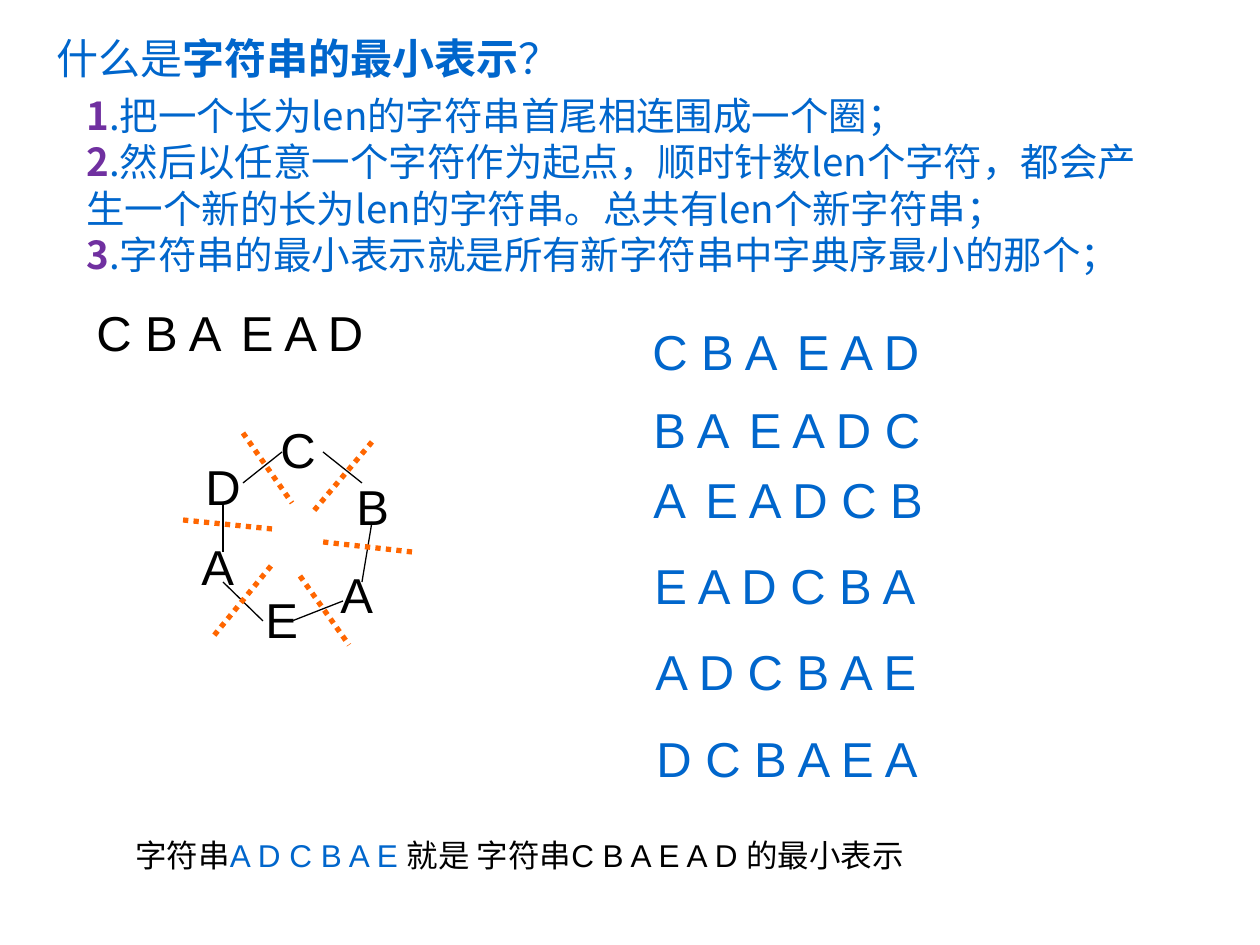
from pptx import Presentation
from pptx.dml.color import RGBColor
from pptx.enum.dml import MSO_LINE
from pptx.enum.shapes import MSO_CONNECTOR
from pptx.enum.text import MSO_ANCHOR, MSO_AUTO_SIZE, PP_ALIGN
from pptx.oxml.ns import qn
from pptx.util import Emu, Pt
from lxml.etree import SubElement

SCALE = 914400 // 126
BLACK, BLUE, PURPLE, ORANGE = "000000", "0066CC", "7030A0", "FF6600"
LATIN, CHINESE = "Arial", "Noto Sans CJK SC"
WORD = "CBAEAD"
STEPS = [
    "把一个长为len的字符串首尾相连围成一个圈；",
    "然后以任意一个字符作为起点，顺时针数len个字符，都会产生一个新的长为len的字符串。总共有len个新字符串；",
    "字符串的最小表示就是所有新字符串中字典序最小的那个；",
]
ROTATION_CORNERS = [(640, 294), (641, 372), (641, 442), (642, 549), (643, 635), (644, 722)]
LETTER_CORNERS = [(85, 0), (161, 57), (145, 145), (70, 170), (6, 117), (10, 37)]
RING_EDGES = [
    (140, 39, 179, 70), (189, 109, 179, 169), (160, 188, 109, 208),
    (80, 208, 40, 169), (40, 139, 40, 90), (60, 70, 99, 39),
]
RING_CUTS = [
    (60, 20, 109, 90), (189, 29, 129, 100), (229, 139, 140, 129),
    (117, 163, 166, 232), (88, 153, 29, 225), (89, 116, 0, 107),
]


def px(length):
    """Turn a length in pixels into EMU."""
    return Emu(length * SCALE)


def color(value):
    """Turn a hex string into a colour."""
    return RGBColor.from_string(value)


def add_text_box(slide, box):
    """Add an empty wrapping text box and return its text frame."""
    frame = slide.shapes.add_textbox(*map(px, box)).text_frame
    frame.word_wrap = True
    return frame


def format_paragraph(paragraph, size, name=None, value=None):
    """Set the font that all runs of a paragraph share."""
    paragraph.font.size = Pt(size)
    if name:
        paragraph.font.name = name
    if value:
        paragraph.font.color.rgb = color(value)


def add_run(paragraph, text):
    """Add a run of text and return its font."""
    run = paragraph.add_run()
    run.text = text
    return run.font


def add_line(slide, ends, left, top, value, width, dash=None):
    """Add a straight line whose ends are relative to a corner."""
    x1, y1, x2, y2 = ends
    connector = slide.shapes.add_connector(
        MSO_CONNECTOR.STRAIGHT, px(left + x1), px(top + y1), px(left + x2), px(top + y2))
    connector.line.color.rgb = color(value)
    connector.line.width = Pt(width)
    if dash:
        connector.line.dash_style = dash
    SubElement(connector._element.spPr, qn("a:effectLst"))


def add_title(slide, box):
    """Place the question in the title placeholder."""
    title = slide.shapes.title
    title.left, title.top, title.width, title.height = map(px, box)
    frame = title.text_frame
    frame.auto_size = MSO_AUTO_SIZE.NONE
    frame.vertical_anchor = MSO_ANCHOR.TOP
    paragraph = frame.paragraphs[0]
    paragraph.alignment = PP_ALIGN.LEFT
    format_paragraph(paragraph, 24, LATIN, BLUE)
    add_run(paragraph, "什么是")
    add_run(paragraph, "字符串的最小表示").bold = True
    add_run(paragraph, "？")


def add_steps(slide, box):
    """Write the numbered definition."""
    frame = add_text_box(slide, box)
    for number, step in enumerate(STEPS, 1):
        paragraph = frame.paragraphs[0] if number == 1 else frame.add_paragraph()
        format_paragraph(paragraph, 22, CHINESE)
        number_font = add_run(paragraph, str(number))
        number_font.bold = True
        number_font.color.rgb = color(PURPLE)
        add_run(paragraph, f".{step}").color.rgb = color(BLUE)


def add_rotation(slide, left, top, shift, value):
    """Write the word rotated by a shift, with a wide gap before the unmoved half."""
    letters = WORD[shift:] + WORD[:shift]
    split = max(3 - shift, 0)
    frame = add_text_box(slide, (left, top, 328, 97 if split else 72))
    paragraph = frame.paragraphs[0]
    format_paragraph(paragraph, 28, LATIN, value)
    if split:
        add_run(paragraph, " ".join(letters[:split]))
        add_run(paragraph, " ").size = Pt(40)
    add_run(paragraph, " ".join(letters[split:]))


def add_ring(slide, left, top):
    """Draw the word as a closed ring with its possible cuts."""
    for letter, (x, y) in zip(WORD, LETTER_CORNERS):
        paragraph = add_text_box(slide, (left + x, top + y, 71, 72)).paragraphs[0]
        format_paragraph(paragraph, 28, LATIN, BLACK)
        add_run(paragraph, letter)
    for edge in RING_EDGES:
        add_line(slide, edge, left, top, BLACK, 0.75)
    for cut in RING_CUTS:
        add_line(slide, cut, left, top, ORANGE, 3, MSO_LINE.ROUND_DOT)


def add_conclusion(slide, box):
    """State the minimal representation of the word."""
    paragraph = add_text_box(slide, box).paragraphs[0]
    format_paragraph(paragraph, 18)
    for text, name, value in [
        ("字符串", LATIN, BLACK),
        ("A D C B A E ", LATIN, BLUE),
        ("就是 字符串", CHINESE, BLACK),
        ("C B A E A D 的最小表示", LATIN, BLACK),
    ]:
        font = add_run(paragraph, text)
        font.name = name
        font.color.rgb = color(value)


def main():
    """Build the slide and save it."""
    presentation = Presentation()
    presentation.slide_width, presentation.slide_height = px(1260), px(945)
    slide = presentation.slides.add_slide(presentation.slide_layouts[5])
    add_title(slide, (44, 26, 590, 63))
    add_steps(slide, (74, 86, 1111, 198))
    add_rotation(slide, 84, 275, 0, BLACK)
    add_ring(slide, 183, 413)
    for shift, (left, top) in enumerate(ROTATION_CORNERS):
        add_rotation(slide, left, top, shift, BLUE)
    add_conclusion(slide, (123, 830, 814, 88))
    presentation.save("out.pptx")


if __name__ == "__main__":
    main()
